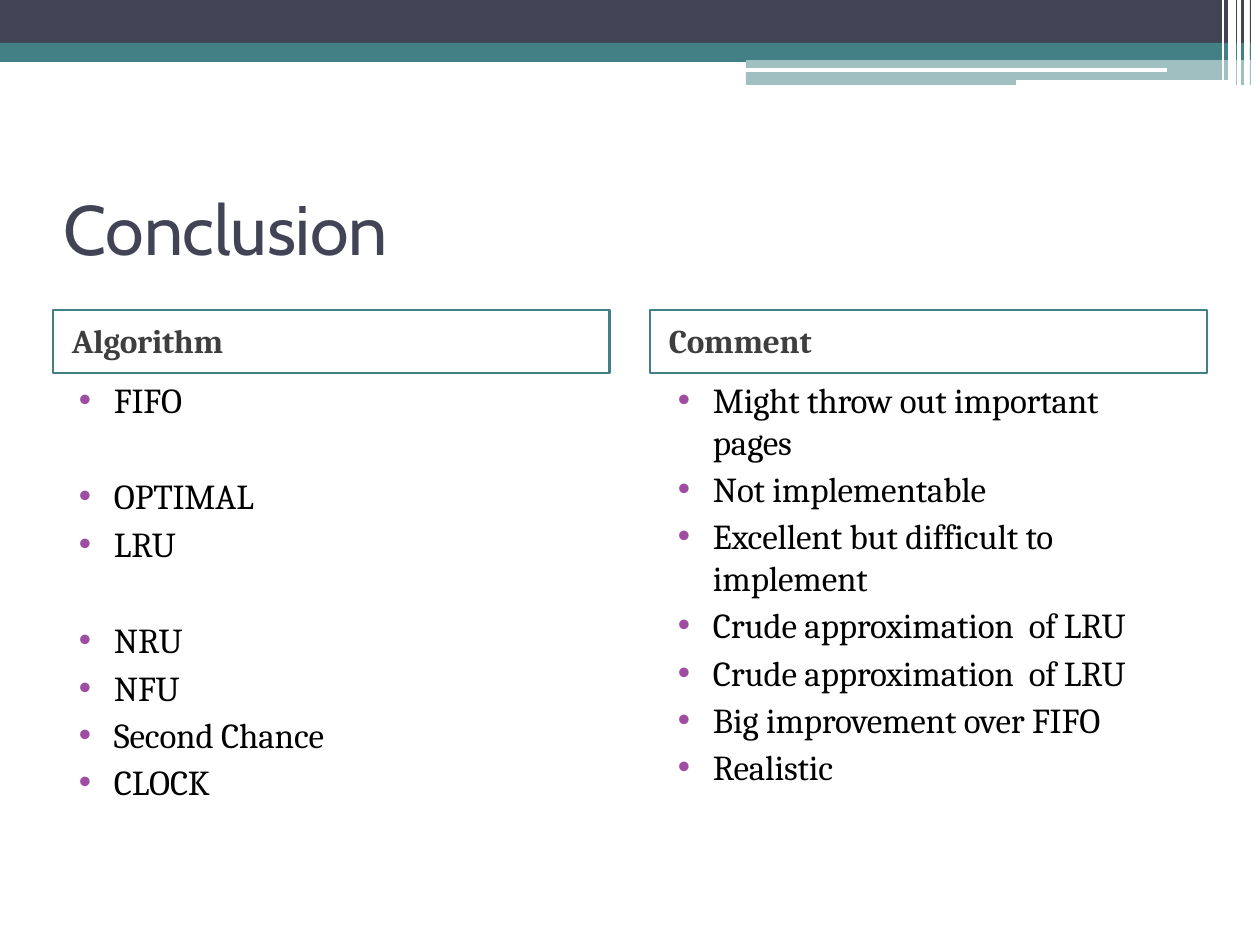
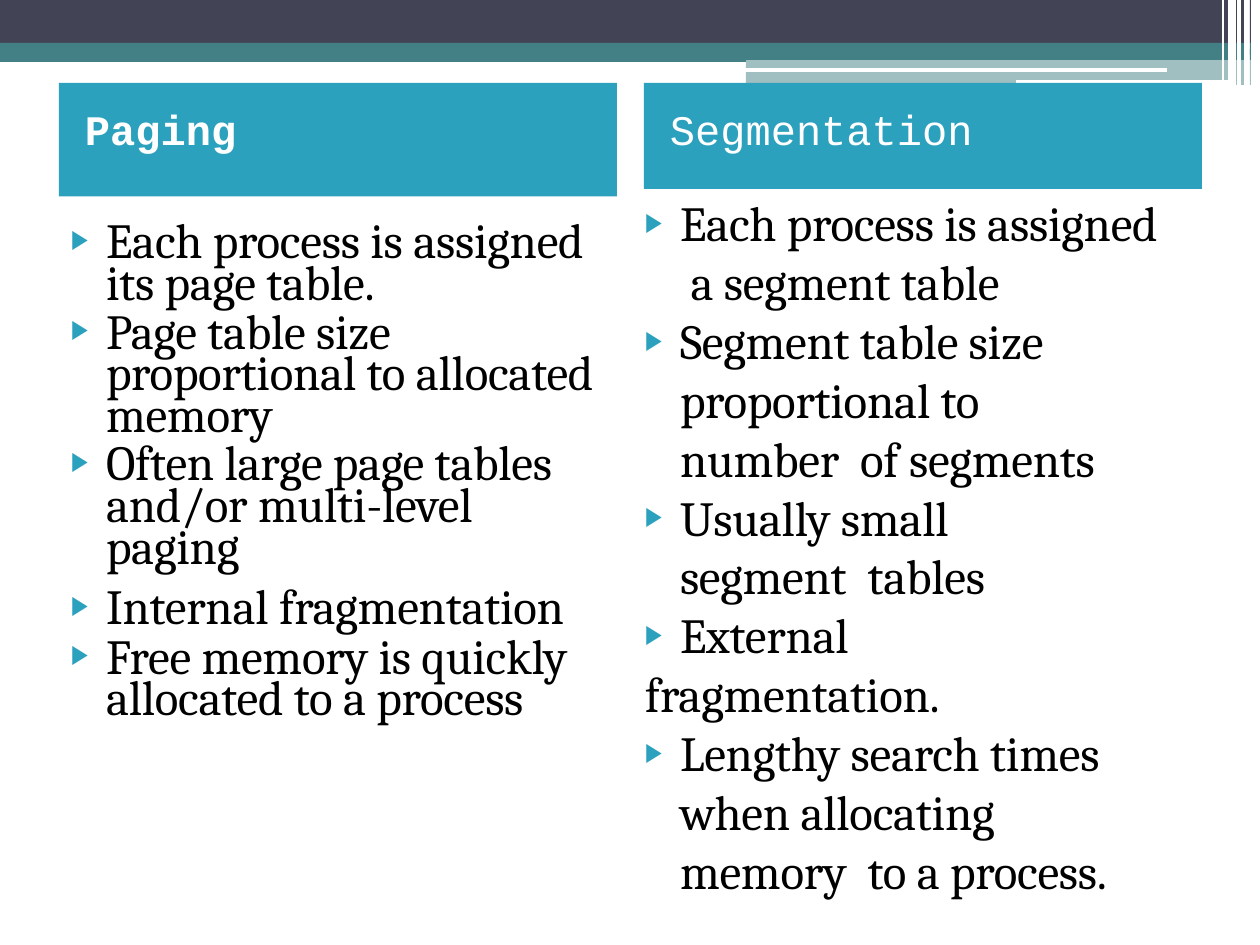
from dataclasses import dataclass
from typing import Optional

import lxml.etree
import pptx
import pptx.dml.color
import pptx.enum.shapes
import pptx.enum.text
import pptx.oxml.ns
import pptx.util

PX_PER_INCH = 126
COLORS = {
    "navy": "424455",
    "teal": "438085",
    "white": "FFFFFF",
    "black": "000000",
    "gray": "3E3E3E",
    "purple": "9F4DA2",
    "blue": "2CA1BE",
}
qn = pptx.oxml.ns.qn


@dataclass(frozen=True)
class Box:
    left: int
    top: int
    width: int
    height: int


@dataclass(frozen=True)
class Band:
    box: Box
    color: str
    alpha: Optional[int] = None


@dataclass(frozen=True)
class Rule:
    start: tuple[int, int]
    end: tuple[int, int]
    color: str
    weight: float


@dataclass(frozen=True)
class Bullet:
    char: str
    color: str
    percent: int


@dataclass(frozen=True)
class Item:
    text: str
    before: float = 0
    right: int = 0
    exact: Optional[float] = None
    bulleted: bool = True


DOT = Bullet("•", "purple", 100)
ARROW = Bullet("▶", "blue", 54)

# Each band runs to the white stripes and goes on as a sliver beyond them.
STRIPES_LEFT, SLIVER_LEFT = 1246, 1250
BAND_ROWS = [
    (0, 0, 43, "navy", None),
    (0, 43, 12, "teal", None),
    (746, 49, 11, "teal", None),
    (746, 60, 25, "teal", 50),
]
BANDS = [
    Band(Box(left, top, width, height), color, alpha)
    for start, top, height, color, alpha in BAND_ROWS
    for left, width in ((SLIVER_LEFT, 1), (start, STRIPES_LEFT - start))
]
BASE_RULE = Rule((0, 58), (746, 58), "teal", 4.08)
WHITE_RULES = [
    Rule((745, 70), (1167, 70), "white", 2.16),
    Rule((1016, 83), (1236, 83), "white", 2.88),
] + [
    Rule((x, 0), (x, bottom), "white", weight)
    for x, bottom, weight in (
        (1245, 86, 0.72),
        (1239, 86, 2.16),
        (1232, 81, 4.32),
        (1223, 81, 0.72),
    )
]

ALGORITHMS = [
    Item("FIFO", 1.1),
    Item("OPTIMAL", 31.3),
    Item("LRU", 3),
    Item("NRU", 31.3),
    Item("NFU", 3),
    Item("Second Chance", 3),
    Item("CLOCK", 3),
]
COMMENTS = [
    Item("Might throw out important pages", 1.1),
    Item("Not implementable", 3),
    Item("Excellent but difficult to  implement", 3),
    Item("Crude approximation  of LRU", 3),
    Item("Crude approximation  of LRU", 3),
    Item("Big improvement over FIFO", 3),
    Item("Realistic", 3),
]
PAGING = [
    Item("Each process is assigned  its page table.", 3.9, exact=23.8),
    Item("Page table size  proportional to allocated  memory", 3.9, exact=23.8),
    Item("Often large page tables  and/or multi-level  paging", 3.9, 20, 23.8),
    Item("Internal fragmentation", 1),
    Item("Free memory is quickly  allocated to a process", 4.3, exact=23.8),
]
SEGMENTATION = [
    Item("Each process is assigned  a segment table", 0.9),
    Item("Segment table size  proportional to number  of segments", right=50),
    Item("Usually small segment  tables", right=66),
    Item("External"),
    Item("fragmentation.", bulleted=False),
    Item("Lengthy search times  when allocating memory  to a process."),
]


def px(count: int) -> int:
    return pptx.util.Emu(round(count * 914400 / PX_PER_INCH))


def rgb(name: str) -> pptx.dml.color.RGBColor:
    return pptx.dml.color.RGBColor.from_string(COLORS[name])


def place(shape, box: Box) -> None:
    shape.left, shape.top = px(box.left), px(box.top)
    shape.width, shape.height = px(box.width), px(box.height)


def add_rectangle(page, box: Box):
    shape = page.shapes.add_shape(
        pptx.enum.shapes.MSO_SHAPE.RECTANGLE,
        px(box.left), px(box.top), px(box.width), px(box.height),
    )
    shape.shadow.inherit = False
    return shape


def paint(shape, fill: Optional[str] = None, line: Optional[str] = None) -> None:
    if fill:
        shape.fill.solid()
        shape.fill.fore_color.rgb = rgb(fill)
    else:
        shape.fill.background()
    if line:
        shape.line.color.rgb = rgb(line)
        shape.line.width = pptx.util.Pt(1.56)
    else:
        shape.line.fill.background()


def draw_band(page, band: Band):
    shape = add_rectangle(page, band.box)
    paint(shape, fill=band.color)
    if band.alpha is not None:
        color = shape.element.spPr.find(f".//{qn('a:srgbClr')}")
        lxml.etree.SubElement(color, qn("a:alpha")).set("val", str(band.alpha * 1000))
    return shape


def draw_rule(page, rule: Rule):
    line = page.shapes.add_connector(
        pptx.enum.shapes.MSO_CONNECTOR.STRAIGHT,
        *(px(value) for value in rule.start + rule.end),
    )
    line.line.color.rgb = rgb(rule.color)
    line.line.width = pptx.util.Pt(rule.weight)
    lxml.etree.SubElement(line.element.spPr, qn("a:effectLst"))
    return line


def decorate_master(deck, page) -> None:
    """Draw the header on a page, then move it to the master behind all else."""
    header = [draw_rule(page, BASE_RULE)]
    header += [draw_band(page, band) for band in BANDS]
    header += [draw_rule(page, rule) for rule in WHITE_RULES]
    tree = deck.slide_master.shapes.element
    for index, shape in enumerate(header):
        shape.element.xpath(".//p:cNvPr")[0].set("id", str(100 + index))
        tree.insert(2 + index, shape.element)


def prepare_frame(shape, top: int):
    frame = shape.text_frame
    frame.word_wrap = True
    frame.auto_size = pptx.enum.text.MSO_AUTO_SIZE.SHAPE_TO_FIT_TEXT
    frame.vertical_anchor = pptx.enum.text.MSO_ANCHOR.TOP
    frame.margin_left = frame.margin_right = frame.margin_bottom = 0
    frame.margin_top = px(top)
    return frame


def write(frame, text: str, *, size: float, font: str, color: str,
          bold: bool = False, tight: bool = True, before: float = 0,
          exact: Optional[float] = None, left: int = 0, right: int = 0,
          hanging: int = 0, bullet: Optional[Bullet] = None) -> None:
    """Add one paragraph, filling the first one while it is still empty."""
    para = frame.paragraphs[0]
    if para.runs:
        para = frame.add_paragraph()
    para.alignment = pptx.enum.text.PP_ALIGN.LEFT
    para.space_before = pptx.util.Pt(before)
    if exact:
        para.line_spacing = pptx.util.Pt(exact)

    layout = para._p.get_or_add_pPr()
    for name, value in (("marL", left), ("marR", right), ("indent", -hanging)):
        layout.set(name, str(px(value)))
    if bullet:
        tint = lxml.etree.SubElement(layout, qn("a:buClr"))
        lxml.etree.SubElement(tint, qn("a:srgbClr")).set("val", COLORS[bullet.color])
        for tag, name, value in (
            ("a:buSzPct", "val", str(bullet.percent * 1000)),
            ("a:buFont", "typeface", "Arial"),
            ("a:buChar", "char", bullet.char),
        ):
            lxml.etree.SubElement(layout, qn(tag)).set(name, value)
    else:
        lxml.etree.SubElement(layout, qn("a:buNone"))

    span = para.add_run()
    span.text = text
    span.font.size = pptx.util.Pt(size)
    span.font.name = font
    span.font.bold = bold
    span.font.color.rgb = rgb(color)
    if tight:
        span._r.get_or_add_rPr().set("spc", "-10")


def fill_list(shape, box: Box, items: list[Item], bullet: Bullet,
              size: int, top: int = 1) -> None:
    place(shape, box)
    frame = prepare_frame(shape, top)
    for item in items:
        write(frame, item.text, size=size, font="Cambria", color="black",
              before=item.before, exact=item.exact, right=item.right,
              left=36 if item.bulleted else 1,
              hanging=35 if item.bulleted else 0,
              bullet=bullet if item.bulleted else None)


def build_conclusion(page) -> None:
    title, algorithms, comments = page.placeholders
    place(title, Box(63, 185, 339, 87))
    write(prepare_frame(title, 1), "Conclusion", size=40, font="Cabin",
          color="navy", before=0.9, left=1)
    for left, heading in ((53, "Algorithm"), (650, "Comment")):
        label = add_rectangle(page, Box(left, 310, 557, 63))
        paint(label, line="teal")
        write(prepare_frame(label, 10), heading, size=19, font="Cambria",
              color="gray", bold=True, before=6, left=19)
    fill_list(algorithms, Box(78, 377, 273, 423), ALGORITHMS, DOT, 20)
    fill_list(comments, Box(677, 377, 499, 413), COMMENTS, DOT, 20)


def build_comparison(page) -> None:
    title, paging, segmentation = page.placeholders
    boxes = [Box(left, 83, 558, 106) for left in (59, 644)]
    place(title, boxes[0])
    headings = [(title, "Paging", True),
                (add_rectangle(page, boxes[1]), "Segmentation", False)]
    for shape, heading, bold in headings:
        paint(shape, fill="blue")
        write(prepare_frame(shape, 21), heading, size=24, font="Courier New",
              color="white", bold=bold, tight=False, before=12.4, left=26)
    fill_list(paging, Box(70, 221, 548, 624), PAGING, ARROW, 28, top=6)
    fill_list(segmentation, Box(644, 192, 522, 774), SEGMENTATION, ARROW, 28)


def main() -> None:
    deck = pptx.Presentation()
    deck.slide_width, deck.slide_height = px(1260), px(945)
    two_content = deck.slide_layouts.get_by_name("Two Content")
    conclusion, comparison = (deck.slides.add_slide(two_content) for _ in range(2))
    decorate_master(deck, conclusion)
    build_conclusion(conclusion)
    build_comparison(comparison)
    deck.save("out.pptx")


if __name__ == "__main__":
    main()
